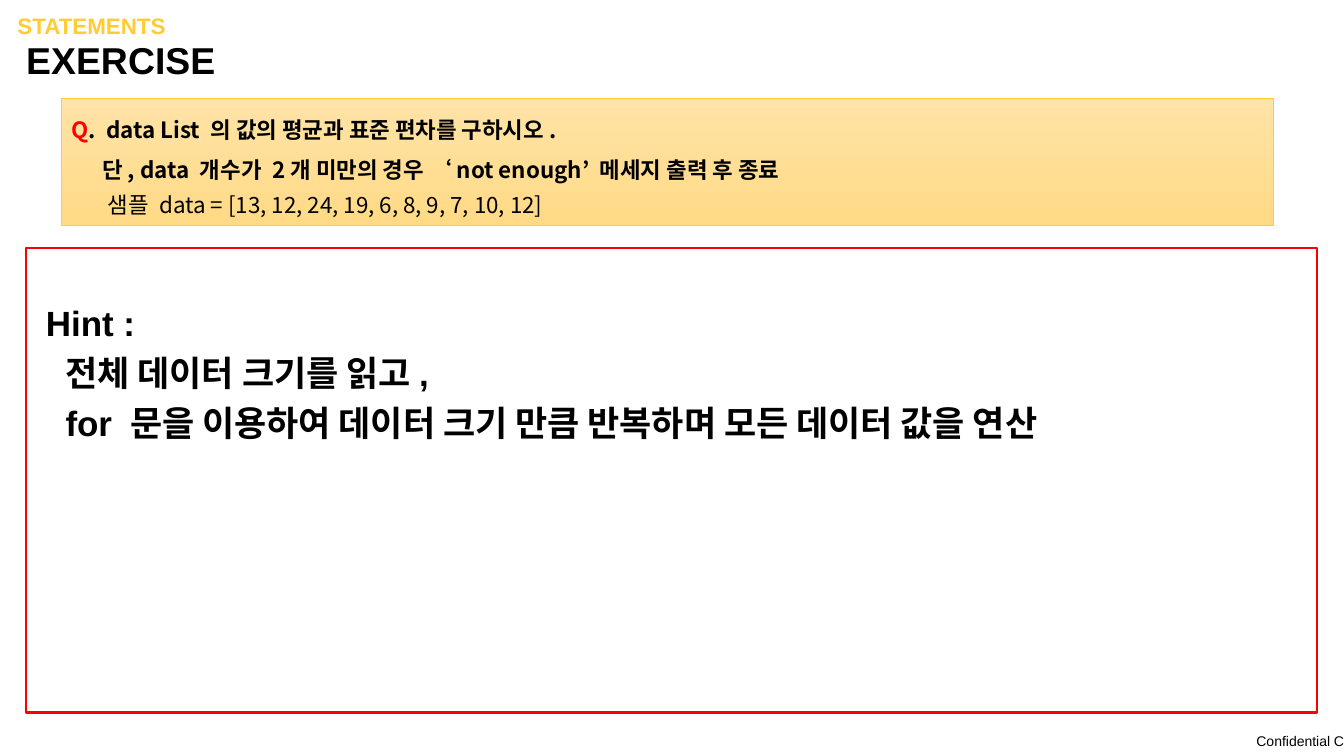
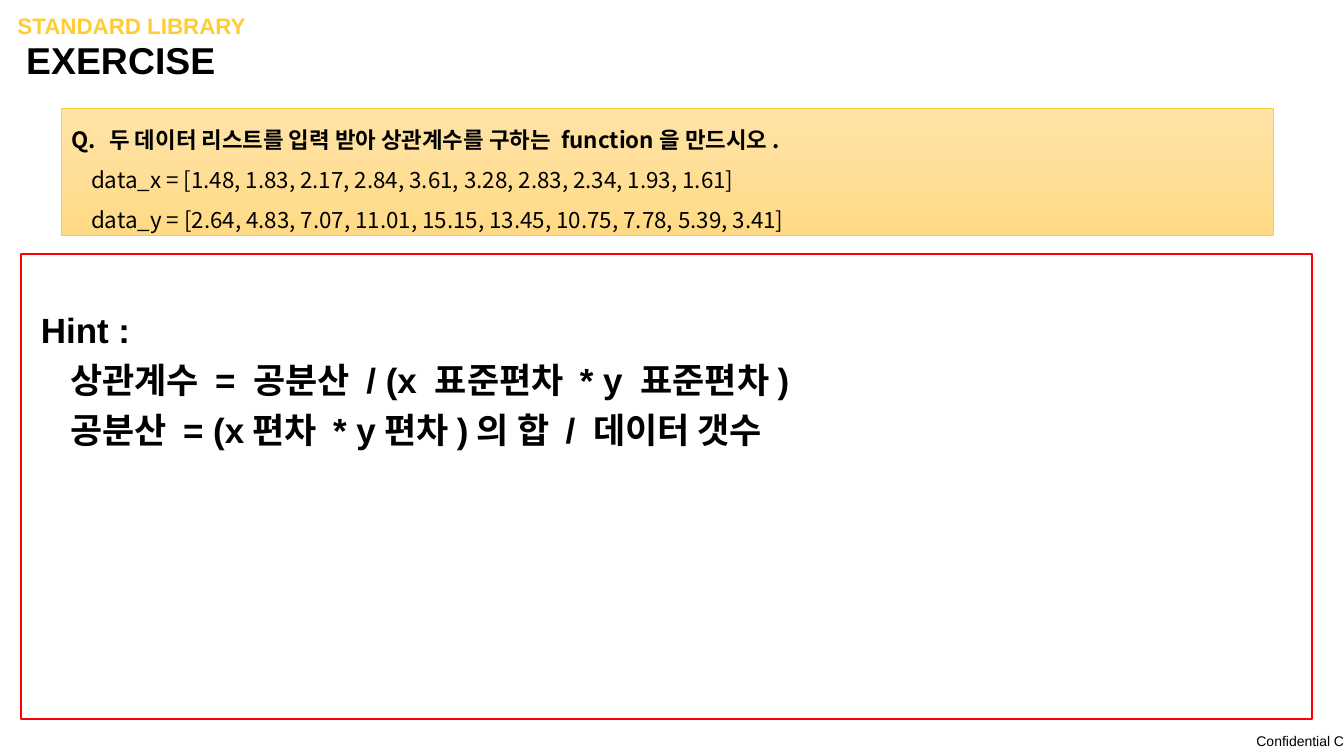
"""Build two exercise slides, each with a question band and a hint frame."""
from lxml.etree import SubElement
from pptx import Presentation
from pptx.dml.color import RGBColor
from pptx.enum.shapes import MSO_SHAPE
from pptx.enum.text import MSO_ANCHOR, PP_ALIGN
from pptx.oxml.ns import qn
from pptx.util import Pt

BLACK = RGBColor(0, 0, 0)
WHITE = RGBColor(255, 255, 255)
RED = RGBColor(255, 0, 0)
GOLD = RGBColor(0xFF, 0xCC, 0x33)
PALE = RGBColor(0xFF, 0xE3, 0xA7)
AMBER = RGBColor(0xFF, 0xDA, 0x86)
SANS = "Arial"
NOTO = "Noto Sans CJK KR"


def style(par, size, face=SANS, color=BLACK, bold=True):
    """Format every run of a paragraph."""
    par.alignment = par.alignment or PP_ALIGN.LEFT
    for run in par.runs:
        font = run.font
        font.size, font.bold, font.name = Pt(size), bold, face
        font.color.rgb = color
        SubElement(run._r.get_or_add_rPr(), qn("a:ea"), typeface=NOTO)


def label(slide, text, box, size, color=BLACK, bold=True,
          anchor=MSO_ANCHOR.TOP, align=PP_ALIGN.LEFT):
    """Add a one-line text box without margins."""
    frame = slide.shapes.add_textbox(*map(Pt, box)).text_frame
    frame.word_wrap = True
    frame.margin_left = frame.margin_right = 0
    frame.margin_top = frame.margin_bottom = 0
    frame.vertical_anchor = anchor
    frame.text = text
    par = frame.paragraphs[0]
    par.alignment = align
    par.line_spacing = 0.9
    style(par, size, color=color, bold=bold)


PAGES = [
    dict(topic="STATEMENTS", band=70, frame=(18.7, 177), number=None, ask=[
        ("Q.  data List 의 값의 평균과 표준 편차를 구하시오.", 0, 28.6, True),
        ("단, data 개수가 2개 미만의 경우 ‘not enough’ 메세지 출력 후 종료",
         21.8, 28.6, True),
        ("샘플 data = [13, 12, 24, 19, 6, 8, 9, 7, 10, 12]", 26, 25, False)],
        hints=[("Hint :", 7), ("전체 데이터 크기를 읽고,", 21),
               ("for 문을 이용하여 데이터 크기 만큼 반복하며 모든 데이터 값을 연산", 21)]),
    dict(topic="STANDARD LIBRARY", band=77.4, frame=(15.1, 181.4), number=17, ask=[
        ("두 데이터 리스트를 입력 받아 상관계수를 구하는 function을 만드시오.",
         27, 28.6, True),
        ("data_x = [1.48, 1.83, 2.17, 2.84, 3.61, 3.28, 2.83, 2.34, 1.93, 1.61]",
         14, 28.6, False),
        ("data_y = [2.64, 4.83, 7.07, 11.01, 15.15, 13.45, 10.75, 7.78, 5.39, 3.41]",
         14, 28.6, False)],
        hints=[("Hint :", 7), ("상관계수 = 공분산 / (x 표준편차 * y 표준편차)", 28),
               ("공분산 = (x편차 * y편차)의 합 / 데이터 갯수", 28)]),
]

deck = Presentation()
deck.slide_width, deck.slide_height = Pt(960), Pt(540)

for page in PAGES:
    slide = deck.slides.add_slide(deck.slide_layouts[6])
    label(slide, "Confidential C", (875, 520.5, 85, 19.5), 10, bold=False,
          anchor=MSO_ANCHOR.MIDDLE, align=PP_ALIGN.RIGHT)
    label(slide, page["topic"], (12.5, 10.8, 922, 17.3), 16, GOLD)
    label(slide, "EXERCISE", (18.7, 31, 922, 27.4), 26.7,
          anchor=MSO_ANCHOR.MIDDLE)

    band = slide.shapes.add_shape(
        MSO_SHAPE.RECTANGLE, Pt(44), Pt(page["band"]), Pt(865.5), Pt(90.7))
    band.fill.gradient()
    band.fill.gradient_angle = 270
    for stop, color in zip(band.fill.gradient_stops, (PALE, AMBER)):
        stop.color.rgb = color
    band.line.color.rgb, band.line.width = GOLD, Pt(0.5)

    left, top = page["frame"]
    hint = slide.shapes.add_shape(
        MSO_SHAPE.RECTANGLE, Pt(left), Pt(top), Pt(922.3), Pt(332))
    hint.fill.solid()
    hint.fill.fore_color.rgb = WHITE
    hint.line.color.rgb, hint.line.width = RED, Pt(1.5)
    hint.text_frame.margin_top = Pt(33)

    lines = [(text, dent, 35.7, True) for text, dent in page["hints"]]
    for shape, rows, size, face in ((band, page["ask"], 16, NOTO),
                                    (hint, lines, 25, SANS)):
        shape.shadow.inherit = False
        frame = shape.text_frame
        frame.word_wrap = True
        frame.vertical_anchor = MSO_ANCHOR.TOP
        frame.text = "\n".join(row[0] for row in rows)
        for par, (text, dent, pitch, bold) in zip(frame.paragraphs, rows):
            par.line_spacing = Pt(pitch)
            par._p.get_or_add_pPr().set("marL", str(Pt(dent)))
            style(par, size, face, bold=bold)

    first = band.text_frame.paragraphs[0]
    if page["number"]:
        props = first._p.get_or_add_pPr()
        props.set("indent", str(-Pt(27)))
        SubElement(props, qn("a:buFont"), typeface=NOTO)
        SubElement(props, qn("a:buAutoNum"), type="alphaUcPeriod",
                   startAt=str(page["number"]))
    else:
        run = first.runs[0]
        rest = first.add_run()
        run.text, rest.text = "Q", run.text[1:]
        style(first, 16, NOTO)
        for old in run._r.rPr.findall(qn("a:ea"))[1:]:
            run._r.rPr.remove(old)
        run.font.color.rgb = RED

deck.save("out.pptx")
